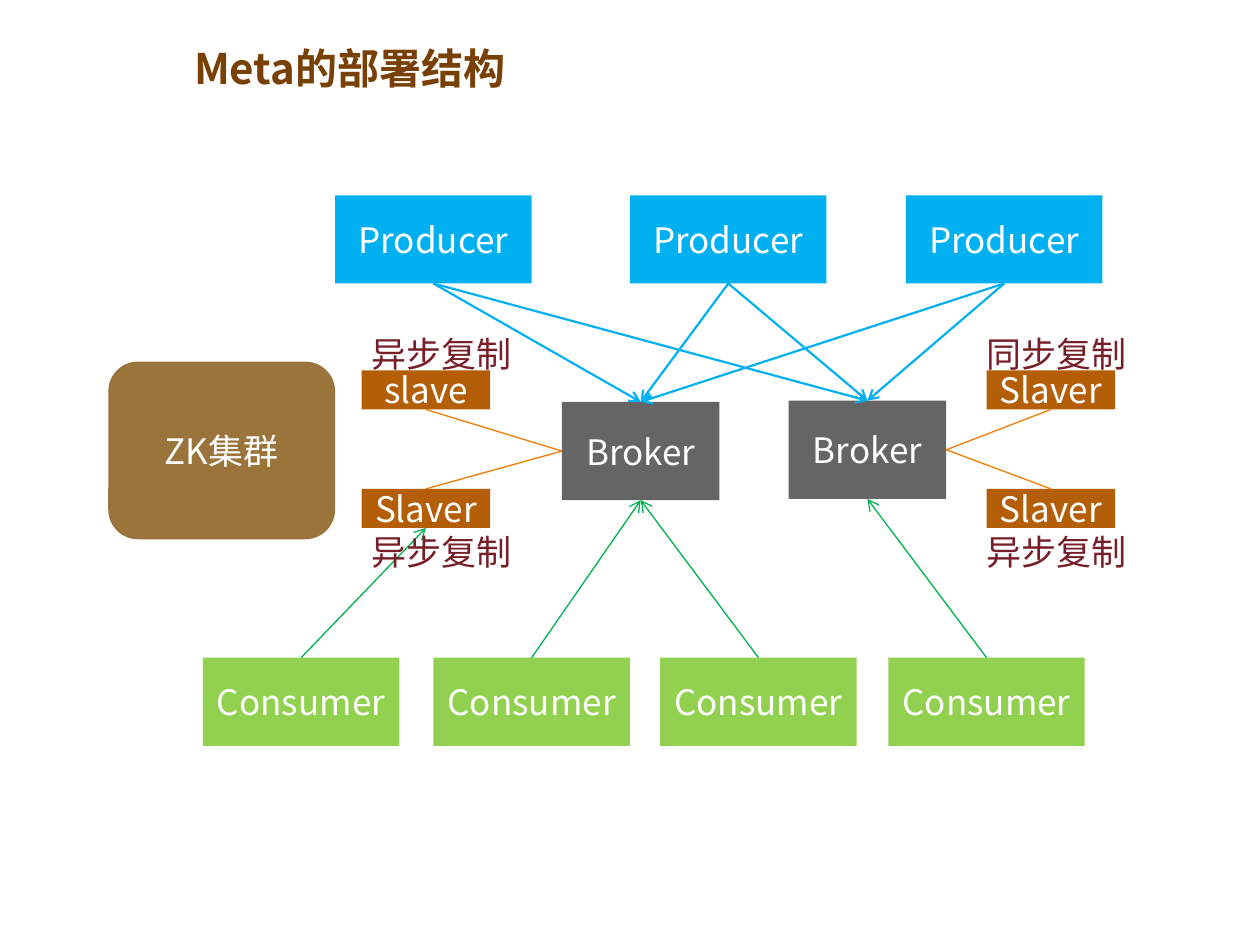
"""Build the Meta deployment diagram slide."""
from dataclasses import dataclass

from lxml import etree
from pptx import Presentation
from pptx.dml.color import RGBColor
from pptx.enum.shapes import MSO_CONNECTOR, MSO_SHAPE
from pptx.enum.text import MSO_ANCHOR, MSO_AUTO_SIZE, PP_ALIGN
from pptx.oxml.ns import qn
from pptx.util import Inches, Pt

RECT = MSO_SHAPE.RECTANGLE
ROUND = MSO_SHAPE.FLOWCHART_ALTERNATE_PROCESS
LINE = MSO_CONNECTOR.STRAIGHT
UPPER, MIDDLE = MSO_ANCHOR.TOP, MSO_ANCHOR.MIDDLE
FIT = MSO_AUTO_SIZE.SHAPE_TO_FIT_TEXT
START, CENTER = PP_ALIGN.LEFT, PP_ALIGN.CENTER
TOP, LEFT, BOTTOM, RIGHT = range(4)


@dataclass(frozen=True)
class Theme:
    """Hold the colours, font and sizes."""
    font: str = "Noto Sans CJK SC"
    head: int = 24
    body: int = 20
    thick: float = 1.25
    thin: float = 0.75
    title: str = "784004"
    white: str = "FFFFFF"
    gray: str = "656565"
    tan: str = "9A743A"
    blue: str = "00B0F0"
    lime: str = "92D050"
    green: str = "00B050"
    brown: str = "B45F07"
    orange: str = "F07C03"
    wine: str = "771F28"


class Board:
    """Draw styled elements on a grid of 100 columns by 75 rows."""

    def __init__(self, deck, theme):
        """Add a title-only slide and set the grid."""
        self.theme = theme
        self.slide = deck.slides.add_slide(deck.slide_layouts[5])
        self.col = deck.slide_width / 100
        self.row = deck.slide_height / 75

    def area(self, x, y, w, h):
        """Turn grid units into slide lengths."""
        return [int(x * self.col), int(y * self.row),
                int(w * self.col), int(h * self.row)]

    def add_run(self, shape, text, color, size, bold=False, align=CENTER):
        """Add one styled run to a shape."""
        part = shape.text_frame.paragraphs[0]
        part.alignment = align
        run = part.add_run()
        run.text = text
        font = run.font
        font.name, font.size, font.bold = self.theme.font, Pt(size), bold
        font.color.rgb = RGBColor.from_string(color)
        east = etree.SubElement(run._r.get_or_add_rPr(), qn("a:ea"))
        east.set("typeface", self.theme.font)

    def title(self, text, *spot):
        """Place and fill the title."""
        head = self.slide.shapes.title
        head.left, head.top, head.width, head.height = self.area(*spot)
        frame = head.text_frame
        frame.word_wrap = False
        frame.auto_size = FIT
        frame.vertical_anchor = UPPER
        self.add_run(head, text, self.theme.title, self.theme.head, True, START)

    def center(self, shape, text, color):
        """Centre body text in a shape."""
        frame = shape.text_frame
        frame.word_wrap = False
        frame.vertical_anchor = MIDDLE
        frame.margin_left = frame.margin_right = 0
        self.add_run(shape, text, color, self.theme.body)

    def box(self, text, fill, *spot, kind=RECT):
        """Add a filled box with white text."""
        shape = self.slide.shapes.add_shape(kind, *self.area(*spot))
        shape.shadow.inherit = False
        shape.fill.solid()
        shape.fill.fore_color.rgb = RGBColor.from_string(fill)
        shape.line.fill.background()
        self.center(shape, text, self.theme.white)
        return shape

    def label(self, text, *spot):
        """Add a centred caption."""
        shape = self.slide.shapes.add_textbox(*self.area(*spot))
        self.center(shape, text, self.theme.wine)

    def link(self, start, out, end, into, color, width, arrow=True):
        """Join the sides of two boxes with a line."""
        wire = self.slide.shapes.add_connector(LINE, 0, 0, 0, 0)
        wire.begin_connect(start, out)
        wire.end_connect(end, into)
        wire.line.color.rgb = RGBColor.from_string(color)
        wire.line.width = Pt(width)
        if arrow:
            etree.SubElement(wire.get_or_add_ln(), qn("a:tailEnd")).set("type", "arrow")
        etree.SubElement(wire._element.spPr, qn("a:effectLst"))


def main():
    """Compose the slide and save it."""
    deck = Presentation()
    deck.slide_width, deck.slide_height = Inches(10), Inches(7.5)
    theme = Theme()
    board = Board(deck, theme)
    board.title("Meta的部署结构", 14.4, 2.9, 27.6, 5)
    board.box("ZK集群", theme.tan, 8.6, 28.7, 18, 14.1, kind=ROUND)

    hubs = [board.box("Broker", theme.gray, x, y, 12.5, 7.8)
            for x, y in ((44.6, 31.9), (62.6, 31.8))]
    makers = [board.box("Producer", theme.blue, x, 15.5, 15.6, 7)
              for x in (26.6, 50, 71.9)]
    users = [board.box("Consumer", theme.lime, x, 52.2, 15.6, 7)
             for x in (16.1, 34.4, 52.4, 70.5)]
    sides = ((28.7, hubs[0], LEFT, ("slave", "Slaver")),
             (78.3, hubs[1], RIGHT, ("Slaver", "Slaver")))
    slaves = []
    for x, hub, side, names in sides:
        for name, y, edge in zip(names, (29.4, 38.8), (BOTTOM, TOP)):
            slave = board.box(name, theme.brown, x, y, 10.2, 3.1)
            board.link(slave, edge, hub, side, theme.orange, theme.thin, False)
            slaves.append(slave)

    for maker in makers:
        for hub in hubs:
            board.link(maker, BOTTOM, hub, TOP, theme.blue, theme.thick)
    for user, goal in zip(users, (slaves[1], hubs[0], hubs[0], hubs[1])):
        board.link(user, TOP, goal, BOTTOM, theme.green, theme.thin)

    for x, above in ((24.8, "异步复制"), (73.6, "同步复制")):
        board.label(above, x, 26.5, 20.5, 3.1)
        board.label("异步复制", x, 42.2, 20.5, 3.1)
    deck.save("out.pptx")


if __name__ == "__main__":
    main()
